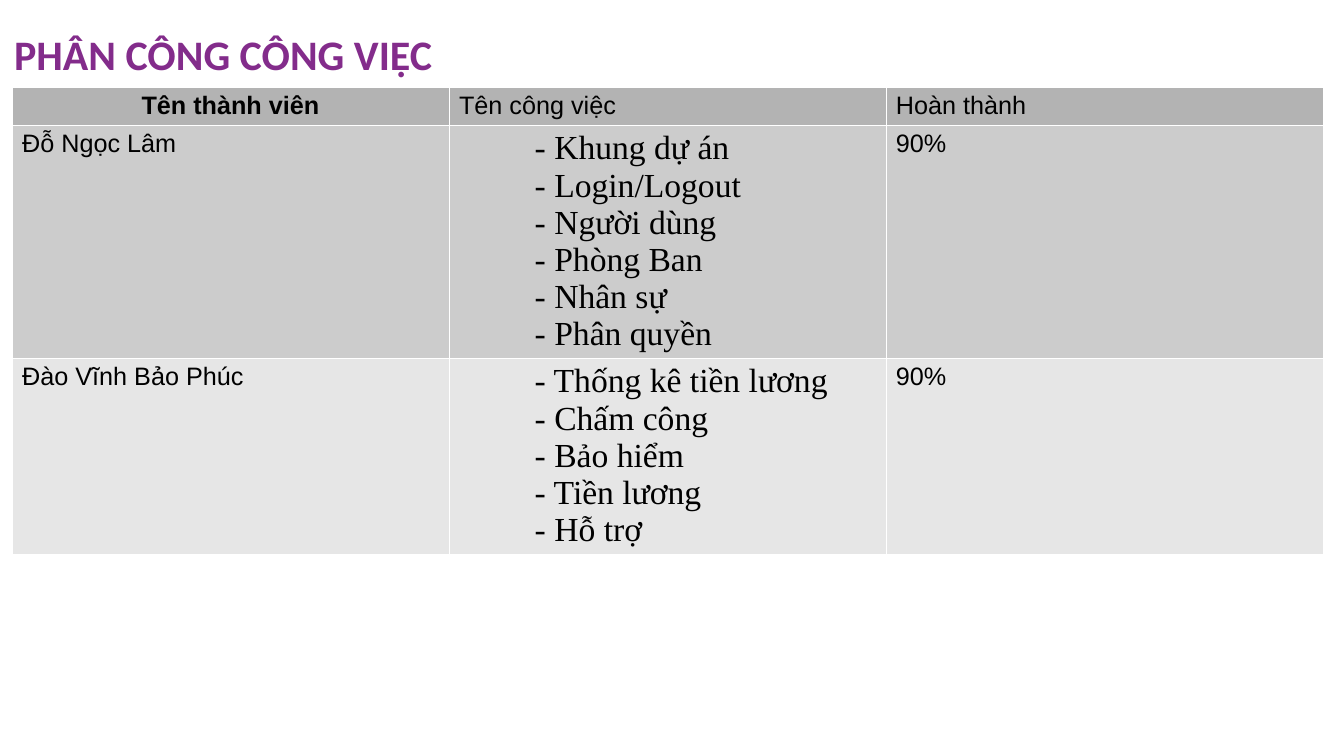
from lxml import etree
from pptx import Presentation
from pptx.dml.color import RGBColor
from pptx.enum.text import MSO_ANCHOR, PP_ALIGN
from pptx.oxml.ns import qn
from pptx.util import Emu, Inches, Pt

LEFT, CENTER = PP_ALIGN.LEFT, PP_ALIGN.CENTER
MIDDLE = MSO_ANCHOR.MIDDLE

PURPLE = RGBColor(0x83, 0x2C, 0x8B)
BLACK = RGBColor(0, 0, 0)
WHITE = RGBColor(0xFF, 0xFF, 0xFF)
ROW_FILLS = [RGBColor(*[level] * 3) for level in (0xB3, 0xCC, 0xE6)]

TITLE_FONT = {"name": "Calibri", "size": Pt(30), "bold": True}
CELL_FONT = {"name": "Arial", "size": Pt(18), "bold": False}
HEADING_FONT = {**CELL_FONT, "bold": True}
TASK_FONT = {"name": "Times New Roman", "size": Pt(24), "bold": False}

TASK_INDENT = {"marL": Inches(1), "indent": Inches(-0.25)}
BORDER_WIDTH = Pt(0.06)
ROW_HEIGHTS = [0.38, 2.31, 1.95]

HEADINGS = ["Tên thành viên", "Tên công việc", "Hoàn thành"]
ASSIGNMENTS = [
    ("Đỗ Ngọc Lâm",
     ["Khung dự án", "Login/Logout", "Người dùng", "Phòng Ban", "Nhân sự",
      "Phân quyền"],
     "90%"),
    ("Đào Vĩnh Bảo Phúc",
     ["Thống kê tiền lương", "Chấm công", "Bảo hiểm", "Tiền lương", "Hỗ trợ"],
     "90%"),
]


def write_line(paragraph, text, font_format, color, align=LEFT):
    run = paragraph.add_run()
    run.text = text
    for attribute, value in font_format.items():
        setattr(run.font, attribute, value)
    run.font.color.rgb = color
    paragraph.alignment = align


def add_title(slide, text, width, height):
    title = slide.shapes.title
    box = {"left": Inches(0.04), "top": 0, "width": width, "height": height}
    for attribute, value in box.items():
        setattr(title, attribute, value)
    frame = title.text_frame
    frame.vertical_anchor = MIDDLE
    frame.word_wrap = True
    frame.margin_top = frame.margin_bottom = Inches(0.1)
    frame.paragraphs[0].line_spacing = 0.9
    write_line(frame.paragraphs[0], text, TITLE_FONT, PURPLE)


def set_borders(cell):
    properties = cell._tc.get_or_add_tcPr()
    for position, side in enumerate(("lnL", "lnR", "lnT", "lnB")):
        line = etree.Element(qn(f"a:{side}"), w=str(BORDER_WIDTH))
        fill = etree.SubElement(line, qn("a:solidFill"))
        etree.SubElement(fill, qn("a:srgbClr"), val=str(WHITE))
        properties.insert(position, line)


def fill_cell(cell, lines, font_format, color, align=LEFT, indent=None):
    cell.fill.solid()
    cell.fill.fore_color.rgb = color
    set_borders(cell)
    frame = cell.text_frame
    for number, text in enumerate(lines):
        paragraph = frame.add_paragraph() if number else frame.paragraphs[0]
        write_line(paragraph, text, font_format, BLACK, align)
        for attribute, value in (indent or {}).items():
            paragraph._p.get_or_add_pPr().set(attribute, str(value))


def add_assignment_table(slide, left, top, width):
    height = Inches(sum(ROW_HEIGHTS))
    table = slide.shapes.add_table(
        len(ROW_HEIGHTS), len(HEADINGS), left, top, width, height).table
    for row, row_height in zip(table.rows, ROW_HEIGHTS):
        row.height = Inches(row_height)

    # Heading row: only the member column is bold and centred
    for column, heading in enumerate(HEADINGS):
        font_format, align = (CELL_FONT, LEFT) if column else (HEADING_FONT, CENTER)
        fill_cell(table.cell(0, column), [heading], font_format,
                  ROW_FILLS[0], align)

    # One row per member
    for row, (member, tasks, progress) in enumerate(ASSIGNMENTS, start=1):
        color = ROW_FILLS[row]
        fill_cell(table.cell(row, 0), [member], CELL_FONT, color)
        fill_cell(table.cell(row, 1), [f"- {task}" for task in tasks],
                  TASK_FONT, color, indent=TASK_INDENT)
        fill_cell(table.cell(row, 2), [progress], CELL_FONT, color)


def main():
    presentation = Presentation()
    presentation.slide_width = Inches(13.33)
    presentation.slide_height = Inches(7.5)
    slide_width = presentation.slide_width
    slide_height = presentation.slide_height
    slide = presentation.slides.add_slide(presentation.slide_layouts[5])

    add_title(slide, "PHÂN CÔNG CÔNG VIỆC",
              Emu(int(slide_width * 0.86)), Emu(int(slide_height * 0.15)))
    add_assignment_table(slide, Inches(0.12), Inches(0.86), Inches(13))

    presentation.save("out.pptx")


main()
